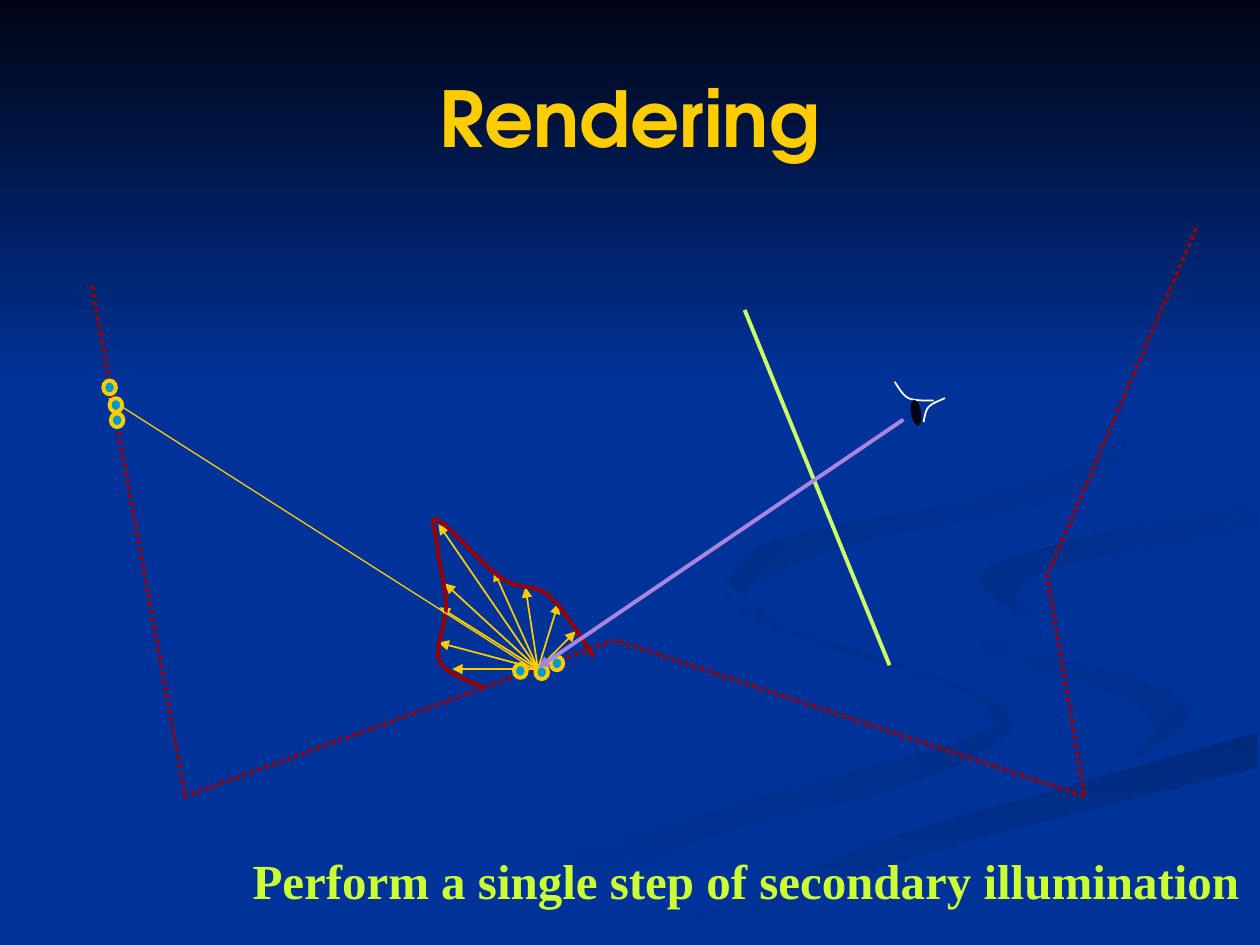
"""Build the slide on rendering with one step of secondary illumination."""
import dataclasses
import typing

import lxml.etree
import pptx
import pptx.dml.color
import pptx.enum.dml
import pptx.enum.shapes
import pptx.enum.text
import pptx.oxml.ns
import pptx.shapes.autoshape
import pptx.shapes.shapetree
import pptx.util

EMU_PER_PX = 9144
NAVY, BLACK, GOLD, RED = "003399", "000514", "FFCC00", "990000"
TEAL, WHITE, LIME, LILAC = "0099CC", "FFFFFF", "CCFF66", "A886E0"

Point = tuple[float, float]
Shapes = pptx.shapes.shapetree.GroupShapes | pptx.shapes.shapetree.SlideShapes
Shape = pptx.shapes.autoshape.Shape


@dataclasses.dataclass(frozen=True)
class Ribbon:
    """A gradient ribbon between two curved edges."""
    first: str
    last: str
    angle: int
    there: tuple[Point, ...]
    back: tuple[Point, ...]


@dataclasses.dataclass(frozen=True)
class Ray:
    """A straight line, with an arrowhead at its end if wanted."""
    start: Point
    end: Point
    color: str = GOLD
    width: float = 1
    arrow: bool = True


RIBBONS = (
    Ribbon(NAVY, "002E8B", 0,
           ((575, 459), (594, 485), (715, 528), (781, 553), (800, 581), (721, 623),
            (564, 665), (361, 749)),
           ((300, 749), (417, 690), (579, 639), (767, 587), (785, 566), (752, 543),
            (654, 513), (581, 483), (575, 459))),
    Ribbon(NAVY, "002E8B", 45,
           ((724, 464), (733, 483), (792, 509), (905, 540), (943, 570), (894, 605)),
           ((917, 581), (900, 557), (815, 530), (755, 505), (724, 464))),
    Ribbon("002A7D", NAVY, 90,
           ((571, 749), (649, 710), (752, 672), (998, 609)),
           ((998, 581), (831, 629), (696, 669), (503, 749))),
    Ribbon("002D86", NAVY, 45,
           ((998, 402), (898, 418), (791, 447), (782, 469), (826, 496)),
           ((805, 474), (843, 448), (998, 420))),
    Ribbon("002B82", NAVY, 45,
           ((762, 233), (864, 291), (894, 344), (855, 391), (683, 430), (593, 468), (622, 500)),
           ((577, 462), (615, 429), (763, 398), (876, 360), (885, 320), (762, 233))),
)
WALLS = ((73, 227), (147, 632), (488, 508), (861, 632), (831, 457), (950, 180))
LOBE = ((384, 546), (349, 525), (354, 481), (347, 433), (348, 413), (398, 459), (436, 473),
        (471, 521))
LOBE_CENTER = (427, 531)
LOBE_TIPS = ((353, 463), (392, 453), (348, 416), (417, 466), (443, 479), (457, 501),
             (349, 482), (348, 510), (359, 531))
EYELIDS = (((733, 335), (737, 323), (750, 316)), ((741, 318), (721, 316), (710, 303)))
NEAR_DOTS = ((408, 527), (425, 528), (437, 521))
FAR_DOTS = ((82, 302), (87, 316), (88, 328))
LIGHT_RAY = Ray((425, 532), (86, 316), width=0.75)
VIEW_RAYS = (Ray((706, 528), (591, 246), LIME, 2.25, False),
             Ray((717, 333), (427, 530), LILAC, 2.25))


def px(length: float) -> pptx.util.Emu:
    """Turn px into EMU."""
    return pptx.util.Emu(round(length * EMU_PER_PX))


def rgb(value: str) -> pptx.dml.color.RGBColor:
    """Turn a hex string into a colour."""
    return pptx.dml.color.RGBColor.from_string(value)


def smooth(anchors: typing.Sequence[Point], steps: int = 8) -> list[Point]:
    """Give points along a Catmull-Rom curve through the anchors."""
    padded = [anchors[0], *anchors, anchors[-1]]
    points = [anchors[0]]
    for before, start, end, after in zip(padded, padded[1:], padded[2:], padded[3:]):
        for step in range(1, steps + 1):
            t = step / steps
            points.append(tuple(
                b + t * ((c - a) + t * (2 * a - 5 * b + 4 * c - d
                                        + t * (3 * b - a - 3 * c + d))) / 2
                for a, b, c, d in zip(before, start, end, after)))
    return points


def draw_outline(shapes: Shapes, points: typing.Sequence[Point], close: bool) -> Shape:
    """Draw an outline through the points."""
    start, *others = [(px(x), px(y)) for x, y in points]
    builder = shapes.build_freeform(*start, scale=1.0)
    builder.add_line_segments(others, close=close)
    shape = builder.convert_to_shape()
    shape.shadow.inherit = False
    return shape


def fill_gradient(shape: Shape, first: str, last: str, angle: int) -> None:
    """Fill a shape with a two-colour gradient turned clockwise."""
    shape.line.fill.background()
    shape.fill.gradient()
    shape.fill.gradient_angle = -angle % 360
    for stop, color in zip(shape.fill.gradient_stops, (first, last)):
        stop.color.rgb = rgb(color)


def draw_path(shapes: Shapes, points: typing.Sequence[Point], color: str, width: float) -> Shape:
    """Draw an open line through the points."""
    shape = draw_outline(shapes, points, False)
    shape.fill.background()
    shape.line.color.rgb = rgb(color)
    shape.line.width = pptx.util.Pt(width)
    return shape


def draw_ray(shapes: Shapes, ray: Ray) -> None:
    """Draw a straight line or arrow."""
    ends = [px(value) for value in (*ray.start, *ray.end)]
    line = shapes.add_connector(pptx.enum.shapes.MSO_CONNECTOR.STRAIGHT, *ends)
    line.line.color.rgb = rgb(ray.color)
    line.line.width = pptx.util.Pt(ray.width)
    properties = line.element.spPr
    qn = pptx.oxml.ns.qn
    if ray.arrow:
        lxml.etree.SubElement(properties.find(qn("a:ln")), qn("a:tailEnd"), type="triangle")
    lxml.etree.SubElement(properties, qn("a:effectLst"))


def draw_ellipse(shapes: Shapes, corner: Point, size: Point, fill: str,
                 line: str | None = None) -> Shape:
    """Draw a filled ellipse."""
    shape = shapes.add_shape(pptx.enum.shapes.MSO_SHAPE.OVAL,
                             *[px(value) for value in (*corner, *size)])
    shape.shadow.inherit = False
    shape.fill.solid()
    shape.fill.fore_color.rgb = rgb(fill)
    if line:
        shape.line.color.rgb = rgb(line)
        shape.line.width = pptx.util.Pt(2.25)
    else:
        shape.line.fill.background()
    return shape


def write_text(box: Shape, text: str, *, font: str, size: int, color: str, wrap: bool) -> None:
    """Write one bold centred line in a box."""
    box.text_frame.word_wrap = wrap
    para = box.text_frame.paragraphs[0]
    para.alignment = pptx.enum.text.PP_ALIGN.CENTER
    span = para.add_run()
    span.text = text
    span.font.name = font
    span.font.size = pptx.util.Pt(size)
    span.font.bold = True
    span.font.color.rgb = rgb(color)


def main() -> None:
    """Build and save the deck."""
    deck = pptx.Presentation()
    deck.slide_width, deck.slide_height = px(1000), px(750)
    page = deck.slides.add_slide(deck.slide_layouts[5])
    page.background.fill.solid()
    page.background.fill.fore_color.rgb = rgb(NAVY)
    shapes = page.shapes
    for ribbon in RIBBONS:
        outline = smooth(ribbon.there) + smooth(ribbon.back)
        fill_gradient(draw_outline(shapes, outline, True),
                      ribbon.first, ribbon.last, ribbon.angle)
    sky = shapes.add_shape(pptx.enum.shapes.MSO_SHAPE.RECTANGLE, 0, 0, px(1000), px(308))
    sky.shadow.inherit = False
    fill_gradient(sky, BLACK, NAVY, 90)

    title = shapes.title
    shapes.element.append(title.element)
    title.left, title.top, title.width, title.height = px(50), px(30), px(900), px(125)
    title.text_frame.vertical_anchor = pptx.enum.text.MSO_ANCHOR.MIDDLE
    write_text(title, "Rendering", font="TeX Gyre Adventor", size=44, color=GOLD, wrap=True)

    walls = draw_path(shapes, WALLS, RED, 2.25)
    walls.line.dash_style = pptx.enum.dml.MSO_LINE.ROUND_DOT
    lobe = shapes.add_group_shape().shapes
    for tip in LOBE_TIPS:
        draw_ray(lobe, Ray(LOBE_CENTER, tip))
    draw_path(lobe, smooth(LOBE), RED, 2.25)
    for corner in NEAR_DOTS:
        draw_ellipse(shapes, corner, (10, 11), TEAL, GOLD)
    draw_ray(shapes, LIGHT_RAY)
    for corner in FAR_DOTS:
        draw_ellipse(shapes, corner, (10, 11), TEAL, GOLD)

    eye = shapes.add_group_shape().shapes
    for eyelid in EYELIDS:
        draw_path(eye, smooth(eyelid), WHITE, 1)
    draw_ellipse(eye, (723, 317), (8, 21), BLACK).rotation = 169.9
    for ray in VIEW_RAYS:
        draw_ray(shapes, ray)

    caption = shapes.add_textbox(px(114), px(670), px(956), px(57))
    write_text(caption, "Perform a single step of secondary illumination",
               font="Times New Roman", size=28, color="CCFF33", wrap=False)
    deck.save("out.pptx")


if __name__ == "__main__":
    main()
